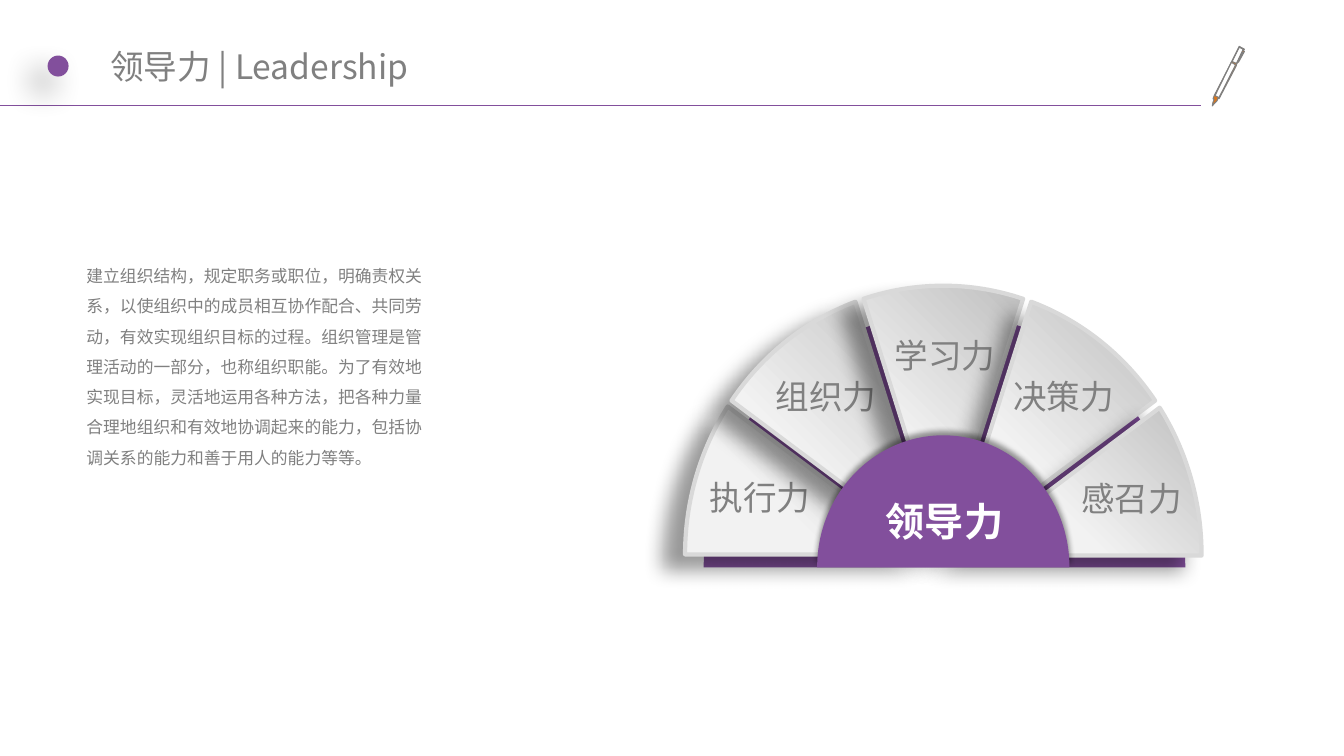
import math

import pptx
import pptx.dml.color
import pptx.enum.shapes
import pptx.enum.text
import pptx.oxml
import pptx.oxml.ns
import pptx.util

Cm, Pt = pptx.util.Cm, pptx.util.Pt
RGB = pptx.dml.color.RGBColor
ALIGN = pptx.enum.text.PP_ALIGN
ANCHOR = pptx.enum.text.MSO_ANCHOR
AUTOSIZE = pptx.enum.text.MSO_AUTO_SIZE
qn, nsdecls = pptx.oxml.ns.qn, pptx.oxml.ns.nsdecls

PURPLE = RGB(0x82, 0x4F, 0x9C)
GRAY = RGB(0x80, 0x80, 0x80)
ORANGE = RGB(0xDA, 0x75, 0x1A)
WHITE = RGB(0xFF, 0xFF, 0xFF)
PALE = RGB(0xF2, 0xF2, 0xF2)
SILVER = RGB(0xBF, 0xBF, 0xBF)
EDGE = RGB(0xD9, 0xD9, 0xD9)
NARROW, SANS = "Arial Narrow", "Noto Sans CJK SC"

# Content (all lengths in cm)
TITLE = "领导力 | Leadership"
BODY = ("建立组织结构，规定职务或职位，明确责权关系，以使组织中的成员相互协作配合、"
        "共同劳动，有效实现组织目标的过程。组织管理是管理活动的一部分，也称组织职能。"
        "为了有效地实现目标，灵活地运用各种方法，把各种力量合理地组织和有效地协调起来的能力，"
        "包括协调关系的能力和善于用人的能力等等。")
HUB_LABEL = "领导力"
# label, label left and top, wedge tip, start and end angle from the left
WEDGES = [
    ("执行力", (17.02, 11.96), (23.32, 13.97), (0, 33.4)),
    ("组织力", (18.69, 9.42), (23.55, 13.92), (34.9, 70.1)),
    ("学习力", (21.69, 8.39), (23.77, 13.92), (72, 108)),
    ("决策力", (24.68, 9.42), (23.98, 13.94), (109.9, 145.1)),
    ("感召力", (26.39, 11.99), (24.28, 14), (146.9, 180.25)),
]
# centre x, centre y, horizontal and vertical radius
FAN = (23.78, 13.97, 6.51, 6.77)
BASE = (23.81, 14.3, 6.07, 6.4)
HUB = (23.78, 14.3, 3.18, 3.33)
PEN = [
    [(31.37, 1.24), (31.24, 1.17), (31.04, 1.57), (30.61, 2.41), (30.58, 2.49),
     (30.61, 2.51), (30.58, 2.57), (30.56, 2.67), (30.63, 2.59), (30.68, 2.54),
     (30.71, 2.46), (30.73, 2.49), (31.17, 1.65), (31.17, 1.63), (31.32, 1.32),
     (31.34, 1.32), (31.22, 1.55), (31.22, 1.57), (31.37, 1.3), (31.34, 1.27)],
    [(31.14, 1.65), (30.73, 2.46), (30.63, 2.41), (30.89, 1.88), (31.04, 1.57),
     (31.14, 1.63)],
    [(31.17, 1.6), (31.06, 1.55), (31.24, 1.19), (31.34, 1.24)],
]
# blur, distance (pt), direction (degrees)
DOT_SHADOW, WEDGE_SHADOW, HUB_SHADOW = (22, 15, 135), (14, 18, 147), (4, 3, 270)


def arc(ellipse, start, end):
    """Start point, then two control points and an end point per curve."""
    cx, cy, rx, ry = ellipse
    stops = [start, 90, end] if start < 90 < end else [start, end]

    def point(a, pull):
        return (cx - rx * (math.cos(a) - pull * math.sin(a)),
                cy - ry * (math.sin(a) + pull * math.cos(a)))

    points = [point(math.radians(start), 0)]
    for a, b in zip(stops, stops[1:]):
        a, b = math.radians(a), math.radians(b)
        k = 4 / 3 * math.tan((b - a) / 4)
        points += [point(a, k), point(b, -k), point(b, 0)]
    return points


def style(sp, fill=None, line=None, width=0.75, shadow=None):
    if fill is None:
        sp.fill.gradient()
        sp.fill.gradient_angle = 45
        for stop, position, color in zip(sp.fill.gradient_stops, (0.36, 1), (PALE, SILVER)):
            stop.position = position
            stop.color.rgb = color
    else:
        sp.fill.solid()
        sp.fill.fore_color.rgb = fill
    if line is None:
        sp.line.fill.background()
    else:
        sp.line.color.rgb = line
        sp.line.width = Pt(width)
    sp.shadow.inherit = False
    if shadow:
        blur, dist, angle = shadow
        sp._element.spPr.find(qn("a:effectLst")).append(pptx.oxml.parse_xml(
            f'<a:outerShdw {nsdecls("a")} blurRad="{Pt(blur)}" '
            f'dist="{Pt(dist)}" dir="{angle * 60000}" algn="ctr" rotWithShape="0">'
            '<a:srgbClr val="000000"><a:alpha val="40000"/></a:srgbClr></a:outerShdw>'))


def outline(shapes, contours, curves=0, **look):
    emu = [[(Cm(x), Cm(y)) for x, y in contour] for contour in contours]
    fb = shapes.build_freeform(*emu[0][0])
    fb.add_line_segments(emu[0][1:])
    for contour in emu[1:]:
        fb.move_to(*contour[0])
        fb.add_line_segments(contour[1:])
    sp = fb.convert_to_shape()
    # Join each leading triple of points into one curve
    lines = list(sp._element.iter(qn("a:lnTo")))
    for i in range(0, 3 * curves, 3):
        curve = pptx.oxml.parse_xml(f'<a:cubicBezTo {nsdecls("a")}/>')
        lines[i].addprevious(curve)
        for ln in lines[i:i + 3]:
            curve.append(ln[0])
            ln.getparent().remove(ln)
    style(sp, **look)


def arc_shape(shapes, ellipse, angles, tip=None, **look):
    points = arc(ellipse, *angles)
    outline(shapes, [points + ([tip] if tip else [])], curves=len(points) // 3, **look)


def text(shapes, words, box, font, frame=None, para=None):
    tf = shapes.add_textbox(*map(Cm, box)).text_frame
    for name, value in {"word_wrap": True, **(frame or {})}.items():
        setattr(tf, name, value)
    p = tf.paragraphs[0]
    for name, value in (para or {}).items():
        setattr(p, name, value)
    r = p.add_run()
    r.text = words
    font = {"name": NARROW, "color": GRAY, **font}
    r.font.color.rgb = font.pop("color")
    for name, value in font.items():
        setattr(r.font, name, value)
    r._r.get_or_add_rPr().append(pptx.oxml.parse_xml(
        f'<a:ea {nsdecls("a")} typeface="{SANS}"/>'))


prs = pptx.Presentation()
prs.slide_width, prs.slide_height = Cm(33.88), Cm(19.05)
s = prs.slides.add_slide(prs.slide_layouts[6])

# Header
rule = s.shapes.add_connector(
    pptx.enum.shapes.MSO_CONNECTOR.STRAIGHT, 0, Cm(2.67), Cm(30.28), Cm(2.67))
rule.line.color.rgb = PURPLE
rule.line.width = Pt(0.75)
rule._element.spPr.append(pptx.oxml.parse_xml(f'<a:effectLst {nsdecls("a")}/>'))
dot = s.shapes.add_shape(pptx.enum.shapes.MSO_SHAPE.OVAL,
                         Cm(1.2), Cm(1.4), Cm(0.53), Cm(0.53))
style(dot, fill=PURPLE, shadow=DOT_SHADOW)
outline(s.shapes, PEN, fill=ORANGE, line=GRAY)
text(s.shapes, TITLE, (2.6, 0.48, 27.74, 2.39), {"name": SANS, "size": Pt(24)},
     {"vertical_anchor": ANCHOR.MIDDLE, "margin_left": Cm(0.18), "margin_right": Cm(0.18),
      "margin_top": Cm(0.1), "margin_bottom": Cm(0.1)})

# Description
text(s.shapes, BODY, (1.93, 6.32, 9, 5.64), {"size": Pt(12)},
     {"auto_size": AUTOSIZE.SHAPE_TO_FIT_TEXT}, {"line_spacing": 1.5})

# Fan: base, wedges with labels, hub
arc_shape(s.shapes, BASE, (0, 180), fill=PURPLE)
for label, corner, tip, angles in WEDGES:
    grp = s.shapes.add_group_shape()
    arc_shape(grp.shapes, FAN, angles, tip, line=EDGE, width=3, shadow=WEDGE_SHADOW)
    text(grp.shapes, label, (*corner, 4.27, 1.12), {"size": Pt(24)},
         {"vertical_anchor": ANCHOR.MIDDLE}, {"alignment": ALIGN.CENTER})
arc_shape(s.shapes, HUB, (0, 180), fill=PURPLE, shadow=HUB_SHADOW)
text(s.shapes, HUB_LABEL, (21.74, 12.4, 4.14, 1.45),
     {"size": Pt(28), "bold": True, "color": WHITE},
     {"auto_size": AUTOSIZE.SHAPE_TO_FIT_TEXT}, {"alignment": ALIGN.CENTER})

prs.save("out.pptx")
